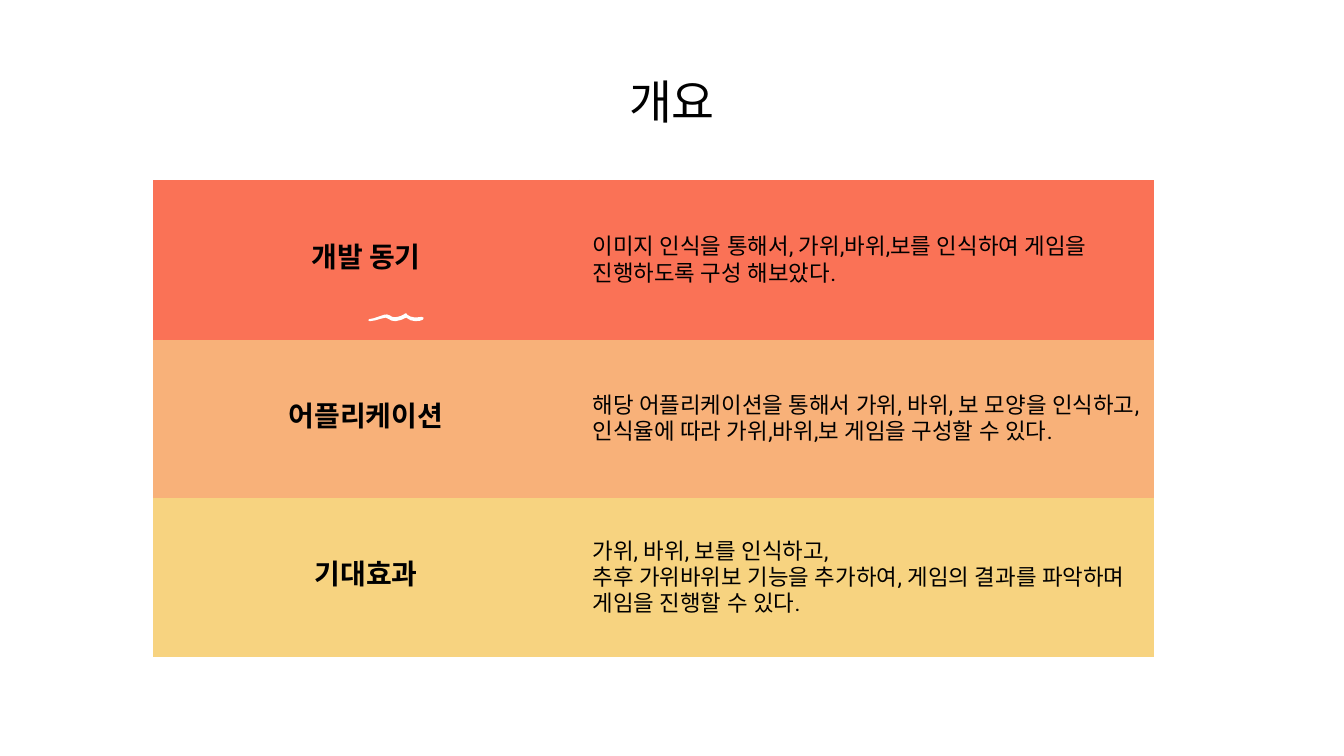
from dataclasses import dataclass

from lxml import etree
from pptx import Presentation
from pptx.dml.color import RGBColor
from pptx.enum.text import MSO_ANCHOR, PP_ALIGN
from pptx.oxml.ns import qn
from pptx.util import Pt

CENTER, LEFT = PP_ALIGN.CENTER, PP_ALIGN.LEFT
BOTTOM, MIDDLE = MSO_ANCHOR.BOTTOM, MSO_ANCHOR.MIDDLE
COLORS = {"text": "000000", "coral": "FA7256", "orange": "F8B179",
          "yellow": "F7D380", "wave": "FEFFFF"}
HEADING_FONT, BODY_FONT = "Arial Narrow", "Roboto"
NO_GRID_STYLE = "{2D5ABB26-0587-4C30-8999-92F81FD0307C}"
INSET = Pt(7.2)
ROW_HEIGHT = 85


@dataclass
class Topic:
    heading: str
    details: list[str]
    color: str
    edges: tuple[str, str] = ("", "")  # coloured borders of the two cells


TOPICS = [
    Topic("개발 동기",
          ["이미지 인식을 통해서, 가위,바위,보를 인식하여 게임을 진행하도록 구성 해보았다."],
          "coral", ("RT", "LT")),
    Topic("어플리케이션",
          ["해당 어플리케이션을 통해서 가위, 바위, 보 모양을 인식하고, "
           "인식율에 따라 가위,바위,보 게임을 구성할 수 있다."],
          "orange"),
    Topic("기대효과",
          ["가위, 바위, 보를 인식하고,",
           "추후 가위바위보 기능을 추가하여, 게임의 결과를 파악하며 게임을 진행할 수 있다."],
          "yellow"),
]

# Outline of the small wave, clockwise from its left tip
WAVE = [(197.7, 171), (200, 170.6), (203.6, 169.4), (206, 168.6), (207.4, 168.5),
        (208.8, 169), (210, 169.7), (211.3, 170), (213, 169.8), (214.8, 169.3),
        (216.2, 168.6), (217, 168), (217.7, 167.9), (218.3, 168.7), (219.8, 169.6),
        (222, 170.1), (224, 170), (226, 169.8), (227, 170.3), (226.6, 171.3),
        (225, 171.9), (222.5, 172.1), (220, 171.6), (217.6, 170.2), (215, 171.4),
        (212, 172.1), (209.8, 171.8), (208, 170.8), (206.6, 170.2), (204, 170.8),
        (201, 171.7), (198, 172.1), (197.4, 171.7)]


def rgb(color: str) -> RGBColor:
    return RGBColor.from_string(COLORS[color])


def write(frame, paragraphs: list[str], *, size: float, font: str,
          bold: bool = False, align=LEFT) -> None:
    for index, text in enumerate(paragraphs):
        paragraph = frame.paragraphs[0] if index == 0 else frame.add_paragraph()
        paragraph.alignment = align
        run = paragraph.add_run()
        run.text = text
        run.font.size = Pt(size)
        run.font.bold = bold
        run.font.color.rgb = rgb("text")
        run.font.name = font
        etree.SubElement(run.font._element, qn("a:ea"), typeface=font)


def set_insets(target) -> None:
    target.margin_left = target.margin_right = INSET
    target.margin_top = target.margin_bottom = INSET


def format_cell(cell, color: str, edges: str) -> None:
    set_insets(cell)
    cell.vertical_anchor = MIDDLE
    cell.fill.solid()
    cell.fill.fore_color.rgb = rgb(color)
    properties = cell._tc.get_or_add_tcPr()
    for position, edge in enumerate(edges):
        line = etree.Element(qn(f"a:ln{edge}"), w=str(Pt(1.5)))
        fill = etree.SubElement(line, qn("a:solidFill"))
        etree.SubElement(fill, qn("a:srgbClr"), val=COLORS[color])
        properties.insert(position, line)


def add_title(slide, text: str) -> None:
    title = slide.shapes.title
    title.left, title.top, title.width, title.height = Pt(36), Pt(35.3), Pt(648), Pt(41)
    set_insets(title.text_frame)
    title.text_frame.vertical_anchor = BOTTOM
    write(title.text_frame, [text], size=25, font=HEADING_FONT, align=CENTER)


def add_topics(slide, topics: list[Topic]) -> None:
    table = slide.shapes.add_table(len(topics), 2, Pt(82), Pt(97), Pt(536.4),
                                   Pt(ROW_HEIGHT * len(topics))).table
    table.first_row = table.horz_banding = False
    table._tbl.tblPr.find(qn("a:tableStyleId")).text = NO_GRID_STYLE
    for column, width in zip(table.columns, (228.2, 308.2)):
        column.width = Pt(width)
    for row, topic in zip(table.rows, topics):
        row.height = Pt(ROW_HEIGHT)
        heading, details = row.cells
        for cell, edges in zip((heading, details), topic.edges):
            format_cell(cell, topic.color, edges)
        write(heading.text_frame, [topic.heading], size=15, font=HEADING_FONT,
              bold=True, align=CENTER)
        write(details.text_frame, topic.details, size=12, font=BODY_FONT)


def add_wave(slide) -> None:
    points = [(Pt(x), Pt(y)) for x, y in WAVE]
    builder = slide.shapes.build_freeform(*points[0])
    builder.add_line_segments(points[1:], close=True)
    wave = builder.convert_to_shape()
    wave.shadow.inherit = False
    wave.fill.solid()
    wave.fill.fore_color.rgb = rgb("wave")
    wave.line.fill.background()


# Slide
presentation = Presentation()
presentation.slide_width, presentation.slide_height = Pt(720), Pt(405)
overview = presentation.slides.add_slide(presentation.slide_layouts[5])

# Content, back to front
add_title(overview, "개요")
add_topics(overview, TOPICS)
add_wave(overview)

presentation.save("out.pptx")
